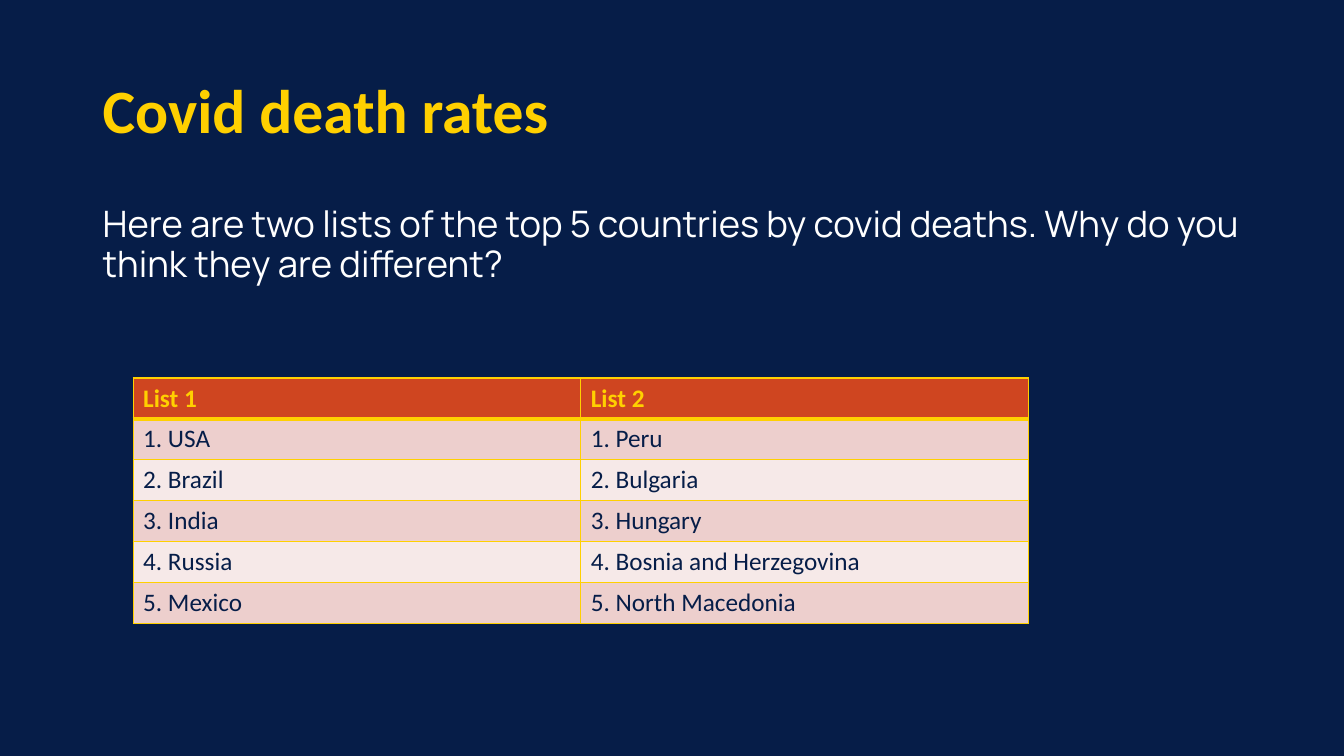
"""Build the slide that compares two top-five lists of covid deaths."""
import pptx
import pptx.dml.color
import pptx.enum.text
import pptx.oxml.ns
import pptx.util
from lxml import etree

Inches, Pt = pptx.util.Inches, pptx.util.Pt
RGBColor = pptx.dml.color.RGBColor
MSO_ANCHOR = pptx.enum.text.MSO_ANCHOR
qn = pptx.oxml.ns.qn

TITLE = "Covid death rates"
QUESTION = (
    "Here are two lists of the top 5 countries by covid deaths. "
    "Why do you think they are different?"
)
ROWS = [
    ("List 1", "List 2"),
    ("1. USA", "1. Peru"),
    ("2. Brazil", "2. Bulgaria"),
    ("3. India", "3. Hungary"),
    ("4. Russia", "4. Bosnia and Herzegovina"),
    ("5. Mexico", "5. North Macedonia"),
]

NAVY = RGBColor(0x06, 0x1D, 0x48)
YELLOW = RGBColor(0xFF, 0xD0, 0x00)
WHITE = RGBColor(0xFF, 0xFF, 0xFF)
RED = RGBColor(0xCF, 0x45, 0x20)
BANDS = (RGBColor(0xED, 0xCF, 0xCD), RGBColor(0xF6, 0xE9, 0xE8))

LEFT, TEXT_WIDTH = 0.92, 11.5
TABLE_LEFT, TABLE_TOP = 1.32, 3.75
COL_WIDTH, ROW_HEIGHT = 4.44, 0.406


def add_run(p, text, size, font, color, bold=False):
    """Add one formatted run to a paragraph."""
    r = p.add_run()
    r.text = text
    r.font.size = Pt(size)
    r.font.name = font
    r.font.color.rgb = color
    r.font.bold = bold


def add_text(s, top, height, anchor, text, size, font, color, bold=False):
    """Add a wrapped text box across the content width."""
    sp = s.shapes.add_textbox(
        Inches(LEFT), Inches(top), Inches(TEXT_WIDTH), Inches(height)
    )
    tf = sp.text_frame
    tf.word_wrap = True
    tf.vertical_anchor = anchor
    p = tf.paragraphs[0]
    p.line_spacing = 0.9
    add_run(p, text, size, font, color, bold)


def add_border(cell, side, width):
    """Draw a solid yellow border on one side of a cell."""
    tc_pr = cell._tc.get_or_add_tcPr()
    ln = etree.SubElement(tc_pr, qn(f"a:ln{side}"), w=str(Pt(width)))
    fill = etree.SubElement(ln, qn("a:solidFill"))
    etree.SubElement(fill, qn("a:srgbClr"), val=str(YELLOW))


def add_lists(s):
    """Add the table with its header and banded rows."""
    n_rows, n_cols = len(ROWS), len(ROWS[0])
    table = s.shapes.add_table(
        n_rows, n_cols, Inches(TABLE_LEFT), Inches(TABLE_TOP),
        Inches(COL_WIDTH * n_cols), Inches(ROW_HEIGHT * n_rows),
    ).table
    for i, row in enumerate(ROWS):
        header = i == 0
        for j, text in enumerate(row):
            cell = table.cell(i, j)
            for side in "LRTB":
                thick = (header and side == "B") or (i == 1 and side == "T")
                add_border(cell, side, 3 if thick else 1)
            cell.fill.solid()
            cell.fill.fore_color.rgb = RED if header else BANDS[(i - 1) % 2]
            p = cell.text_frame.paragraphs[0]
            add_run(p, text, 18, "Calibri", YELLOW if header else NAVY, header)


def main():
    """Assemble and save the slide."""
    prs = pptx.Presentation()
    prs.slide_width, prs.slide_height = Inches(13.33), Inches(7.5)
    s = prs.slides.add_slide(prs.slide_layouts[6])
    s.background.fill.solid()
    s.background.fill.fore_color.rgb = NAVY
    add_text(s, 0.4, 1.45, MSO_ANCHOR.MIDDLE, TITLE, 44, "Calibri", YELLOW, True)
    add_text(s, 2, 4.76, MSO_ANCHOR.TOP, QUESTION, 26, "Manrope", WHITE)
    add_lists(s)
    prs.save("out.pptx")


if __name__ == "__main__":
    main()
